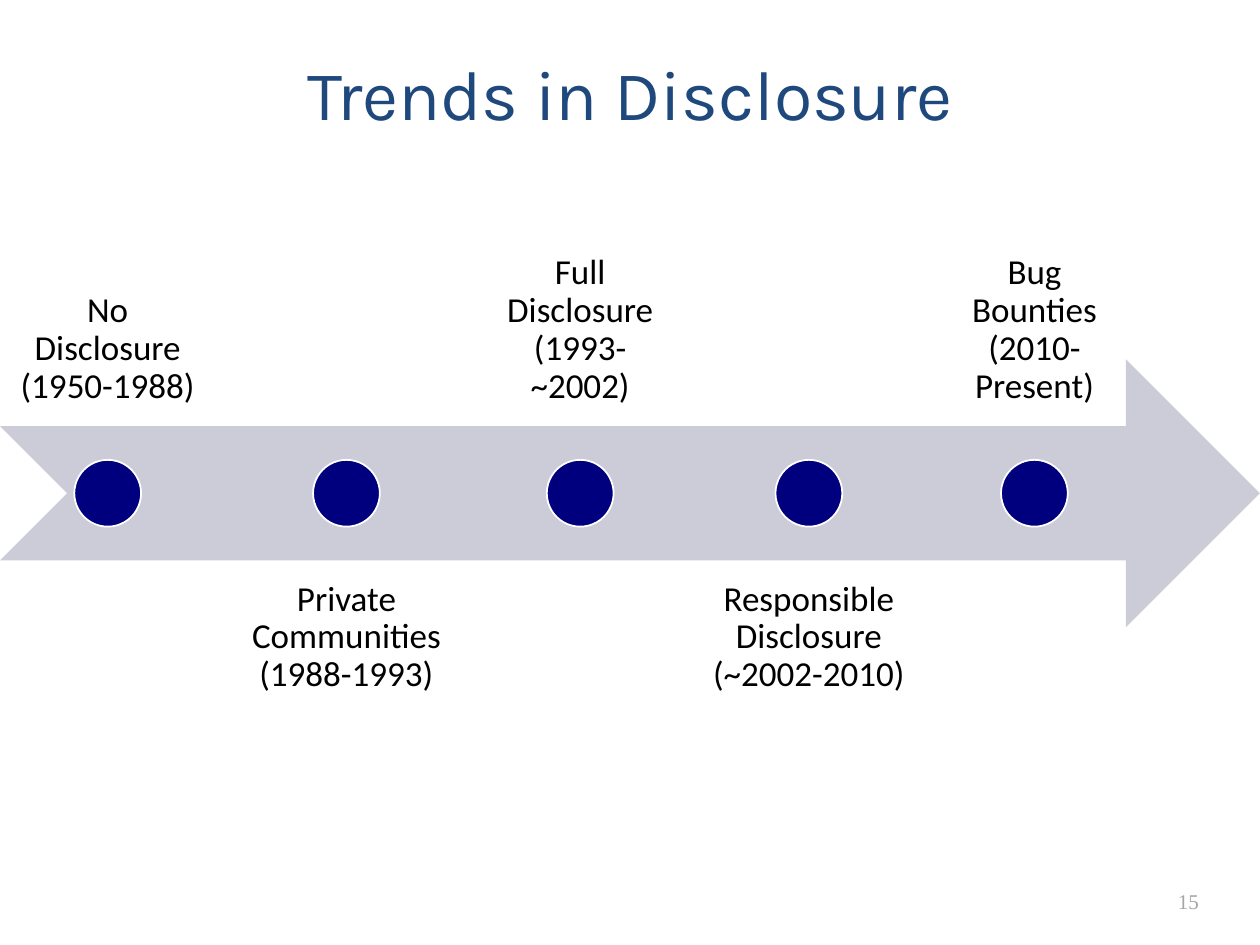
from pptx import Presentation
from pptx.dml.color import RGBColor
from pptx.enum.shapes import MSO_SHAPE as Shape
from pptx.enum.text import MSO_ANCHOR as Anchor, MSO_AUTO_SIZE as AutoSize, PP_ALIGN as Align
from pptx.util import Inches, Pt

# Content: label and column width of each period
TITLE = "Trends in Disclosure"
PAGE_NUMBER = "15"
PERIODS = [
    ("No Disclosure\n(1950-1988)", 1.71),
    ("Private Communities\n(1988-1993)", 1.96),
    ("Full Disclosure\n(1993-~2002)", 1.63),
    ("Responsible Disclosure\n(~2002-2010)", 1.88),
    ("Bug Bounties\n(2010-Present)", 1.58),
]

# Timeline geometry, in inches
BAND = 2.13
ARROW_TOP = 2.85
LABEL_TOPS = (1.25, 4.45)  # above and below the arrow, in turn
GAP = 0.06
DOT = 0.53
INSET = 0.16


def color(hex_value):
    return RGBColor.from_string(hex_value)


def set_text(frame, text, font_name, size, hex_value, align, anchor, insets):
    frame.word_wrap = True
    frame.auto_size = AutoSize.NONE
    frame.vertical_anchor = anchor
    (frame.margin_left, frame.margin_top,
     frame.margin_right, frame.margin_bottom) = map(Inches, insets)
    paragraph = frame.paragraphs[0]
    paragraph.text = text
    paragraph.alignment = align
    paragraph.font.name = font_name
    paragraph.font.size = Pt(size)
    paragraph.font.color.rgb = color(hex_value)
    return paragraph


def add_filled(shapes, kind, box, fill, line=None):
    shape = shapes.add_shape(kind, *map(Inches, box))
    shape.shadow.inherit = False
    shape.fill.solid()
    shape.fill.fore_color.rgb = color(fill)
    if line:
        shape.line.color.rgb = color(line)
        shape.line.width = Pt(1)
    else:
        shape.line.fill.background()


prs = Presentation()
prs.slide_width, prs.slide_height = Inches(10), Inches(7.5)
slide = prs.slides.add_slide(prs.slide_layouts[5])
shapes = slide.shapes

# Title
title = shapes.title
title.left, title.top, title.width, title.height = map(Inches, (0.75, 0.3, 8.5, 0.87))
set_text(title.text_frame, TITLE, "Karla", 40, "1F497D",
         Align.CENTER, Anchor.BOTTOM, (0.1, 0.05, 0.1, 0.1))

# Page number
number = shapes.add_textbox(*map(Inches, (9.25, 7, 0.58, 0.3)))
set_text(number.text_frame, PAGE_NUMBER, "Times New Roman", 12, "A6A6A6",
         Align.LEFT, Anchor.TOP, (0.1, 0.05, 0.1, 0.05))

# Timeline arrow
add_filled(shapes, Shape.NOTCHED_RIGHT_ARROW, (0, ARROW_TOP, 10, BAND), "CCCCD8")

# Periods: labels alternate above and below, dots sit on the arrow's axis
dot_top = ARROW_TOP + (BAND - DOT) / 2
left = 0
for index, (text, width) in enumerate(PERIODS):
    side = index % 2
    label = shapes.add_textbox(*map(Inches, (left, LABEL_TOPS[side], width, BAND)))
    paragraph = set_text(label.text_frame, text, "Calibri", 20, "000000", Align.CENTER,
                         (Anchor.BOTTOM, Anchor.TOP)[side], (INSET,) * 4)
    paragraph.line_spacing = 0.9
    paragraph.space_after = Pt(7)
    add_filled(shapes, Shape.OVAL, (left + (width - DOT) / 2, dot_top, DOT, DOT),
               "00007F", "FFFFFF")
    left += width + GAP

prs.save("out.pptx")
